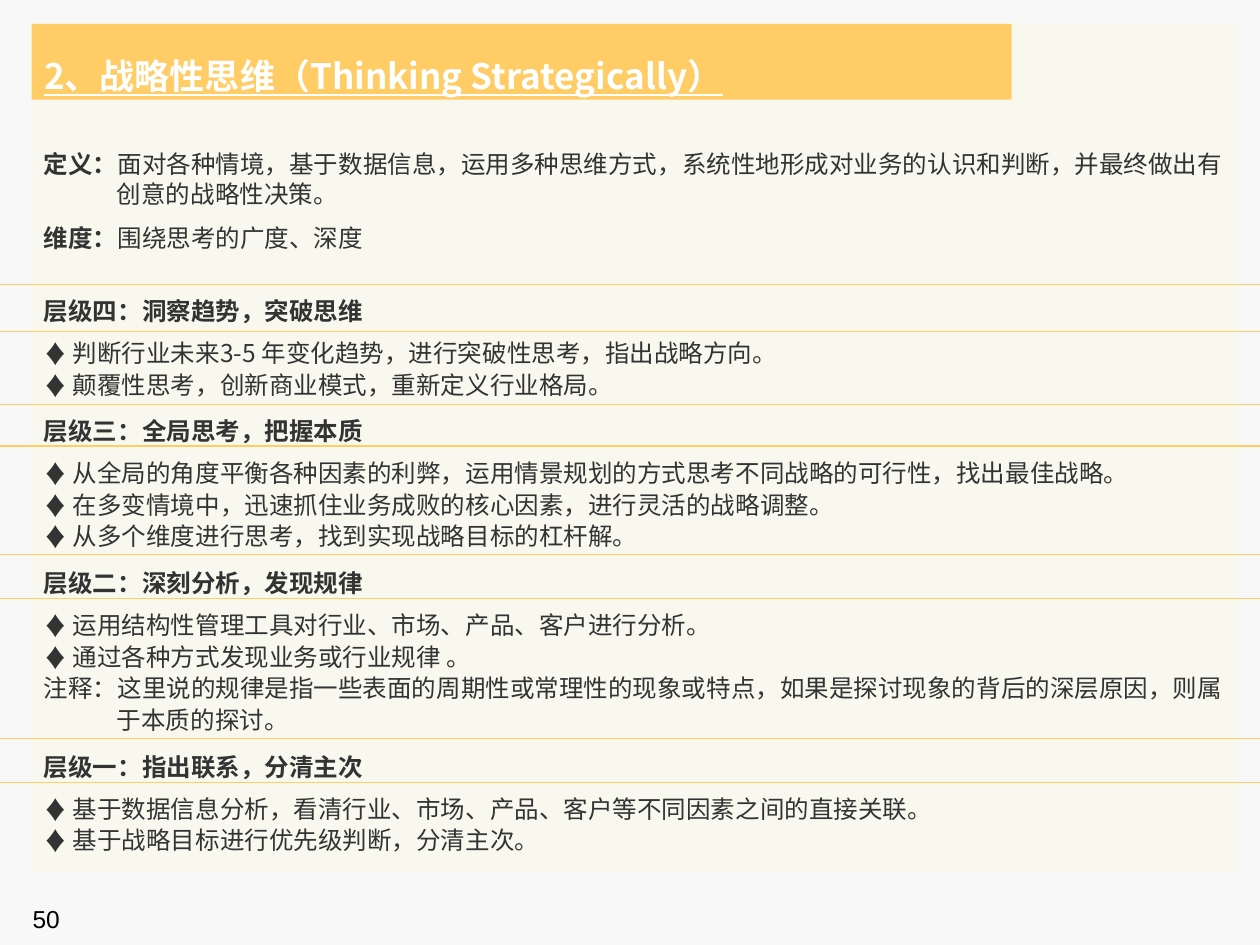
from dataclasses import dataclass

from lxml import etree
from pptx import Presentation
from pptx.dml.color import RGBColor
from pptx.enum.shapes import MSO_CONNECTOR, MSO_SHAPE
from pptx.enum.text import MSO_ANCHOR, MSO_AUTO_SIZE, PP_ALIGN
from pptx.oxml.ns import qn
from pptx.util import Inches, Pt

RECTANGLE = MSO_SHAPE.RECTANGLE
STRAIGHT = MSO_CONNECTOR.STRAIGHT
TOP, BOTTOM = MSO_ANCHOR.TOP, MSO_ANCHOR.BOTTOM
NO_AUTOFIT = MSO_AUTO_SIZE.NONE
LEFT = PP_ALIGN.LEFT

COLORS = {
    "background": "F8F8F8",
    "panel": "F8F8EF",
    "accent": "FFCC66",
    "body": "333333",
    "title": "FFFFFF",
    "number": "000000",
}
BODY_FONT = "Noto Sans CJK SC"
NUMBER_FONT = "Arial"
LABEL_INDENT = 0.58
BULLET_INDENT = 0.23


@dataclass
class Line:
    text: str
    label: str = ""
    bullet: bool = False
    pitch: float = 18
    before: float = 0
    after: float = 0


@dataclass
class Level:
    heading: str
    actions: list[str]
    rules: tuple[float, float]
    note: str = ""
    before: float = 8.8


INTRO = [
    Line("面对各种情境，基于数据信息，运用多种思维方式，系统性地形成对业务的认识和判断，并最终做出有创意的战略性决策。",
         label="定义：", pitch=17),
    Line("围绕思考的广度、深度", label="维度：", pitch=17, before=8),
]
LEVELS = [
    Level("层级四：洞察趋势，突破思维",
          ["判断行业未来3-5 年变化趋势，进行突破性思考，指出战略方向。",
           "颠覆性思考，创新商业模式，重新定义行业格局。"],
          (2.26, 2.63), before=24),
    Level("层级三：全局思考，把握本质",
          ["从全局的角度平衡各种因素的利弊，运用情景规划的方式思考不同战略的可行性，找出最佳战略。",
           "在多变情境中，迅速抓住业务成败的核心因素，进行灵活的战略调整。",
           "从多个维度进行思考，找到实现战略目标的杠杆解。"],
          (3.21, 3.54)),
    Level("层级二：深刻分析，发现规律",
          ["运用结构性管理工具对行业、市场、产品、客户进行分析。",
           "通过各种方式发现业务或行业规律 。"],
          (4.4, 4.75),
          note="注释：这里说的规律是指一些表面的周期性或常理性的现象或特点，如果是探讨现象的背后的深层原因，则属于本质的探讨。"),
    Level("层级一：指出联系，分清主次",
          ["基于数据信息分析，看清行业、市场、产品、客户等不同因素之间的直接关联。",
           "基于战略目标进行优先级判断，分清主次。"],
          (5.86, 6.21)),
]


def rgb(role: str) -> RGBColor:
    return RGBColor.from_string(COLORS[role])


def apply_format(target, values: dict) -> None:
    for name, value in values.items():
        setattr(target, name, value)


def add_run(paragraph, text: str, color: str, size: float,
            font_name: str = BODY_FONT, **style) -> None:
    run = paragraph.add_run()
    run.text = text
    apply_format(run.font, {"name": font_name, "size": Pt(size), **style})
    run.font.color.rgb = rgb(color)
    east_asian = etree.SubElement(run.font._element, qn("a:ea"))
    east_asian.set("typeface", font_name)


def format_frame(frame, top: float, anchor) -> None:
    apply_format(frame, {
        "word_wrap": True,
        "auto_size": NO_AUTOFIT,
        "vertical_anchor": anchor,
        "margin_left": Inches(0.1),
        "margin_right": Inches(0.1),
        "margin_top": Inches(top),
        "margin_bottom": Inches(0.05),
    })


def set_indent(paragraph, indent: float, bullet: bool) -> None:
    properties = paragraph._p.get_or_add_pPr()
    properties.set("marL", str(Inches(indent)))
    properties.set("indent", str(-Inches(indent)))
    if bullet:
        etree.SubElement(properties, qn("a:buFont")).set("typeface", BODY_FONT)
        etree.SubElement(properties, qn("a:buChar")).set("char", "♦")


def write_line(paragraph, line: Line) -> None:
    set_indent(paragraph, BULLET_INDENT if line.bullet else LABEL_INDENT, line.bullet)
    apply_format(paragraph, {
        "alignment": LEFT,
        "line_spacing": Pt(line.pitch),
        "space_before": Pt(line.before),
        "space_after": Pt(line.after),
    })
    if line.label:
        add_run(paragraph, line.label, "body", 14, bold=True)
    if line.text:
        add_run(paragraph, line.text, "body", 14, bold=False)


def level_lines(level: Level) -> list[Line]:
    lines = [Line("", label=level.heading, before=level.before, after=6)]
    lines += [Line(action, bullet=True) for action in level.actions]
    if level.note:
        lines.append(Line(level.note))
    return lines


def add_panel(slide) -> None:
    panel = slide.shapes.add_shape(
        RECTANGLE, Inches(0.25), Inches(0.19), Inches(9.57), Inches(6.74))
    panel.shadow.inherit = False
    panel.fill.solid()
    panel.fill.fore_color.rgb = rgb("panel")
    panel.line.fill.background()
    frame = panel.text_frame
    format_frame(frame, 0.99, TOP)
    lines = INTRO + [line for level in LEVELS for line in level_lines(level)]
    for index, line in enumerate(lines):
        paragraph = frame.add_paragraph() if index else frame.paragraphs[0]
        write_line(paragraph, line)


def add_rule(slide, y: float) -> None:
    rule = slide.shapes.add_connector(STRAIGHT, 0, Inches(y), Inches(10), Inches(y))
    rule.line.color.rgb = rgb("accent")
    rule.line.width = Pt(0.75)
    etree.SubElement(rule._element.spPr, qn("a:effectLst"))


def format_title(slide) -> None:
    title = slide.shapes.title
    apply_format(title, {
        "left": Inches(0.25),
        "top": Inches(0.19),
        "width": Inches(7.78),
        "height": Inches(0.6),
    })
    title.fill.solid()
    title.fill.fore_color.rgb = rgb("accent")
    format_frame(title.text_frame, 0.16, TOP)
    paragraph = title.text_frame.paragraphs[0]
    apply_format(paragraph, {"alignment": LEFT, "line_spacing": Pt(30)})
    add_run(paragraph, "2、战略性思维（Thinking Strategically）", "title", 20,
            bold=True, underline=True)
    title.element.getparent().append(title.element)


def add_page_number(slide) -> None:
    number = slide.shapes.add_textbox(
        Inches(0.16), Inches(6.96), Inches(2.08), Inches(0.5))
    format_frame(number.text_frame, 0.05, BOTTOM)
    add_run(number.text_frame.paragraphs[0], "50", "number", 14, NUMBER_FONT)


def main() -> None:
    deck = Presentation()
    deck.slide_width, deck.slide_height = Inches(10), Inches(7.5)
    slide = deck.slides.add_slide(deck.slide_layouts[5])
    slide.background.fill.solid()
    slide.background.fill.fore_color.rgb = rgb("background")
    add_page_number(slide)
    add_panel(slide)
    for level in LEVELS:
        for y in level.rules:
            add_rule(slide, y)
    format_title(slide)
    deck.save("out.pptx")


if __name__ == "__main__":
    main()
